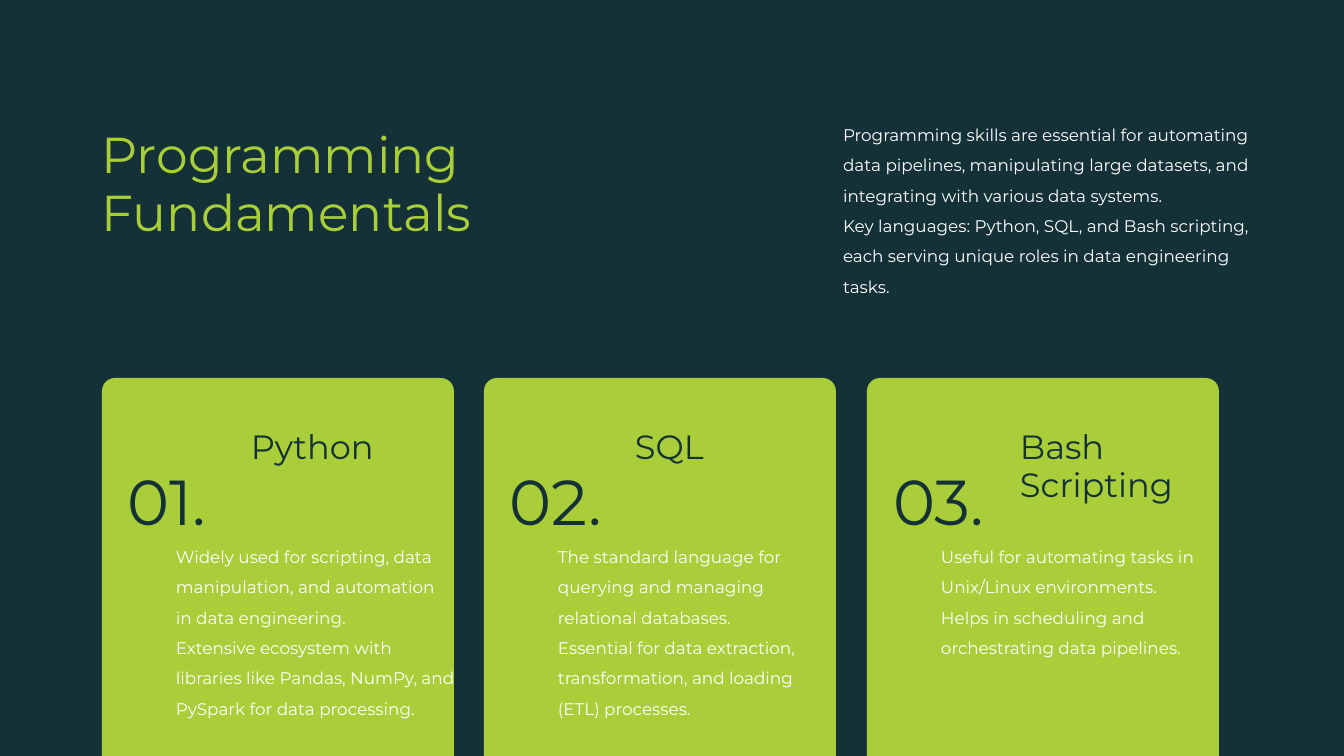
import pptx
import pptx.dml.color
import pptx.enum.shapes
import pptx.enum.text
import pptx.util

SLIDE_WIDTH, SLIDE_HEIGHT = 1344, 756
EMU_PER_PX = pptx.util.Inches(10) / SLIDE_WIDTH


def px(length):
    return pptx.util.Emu(round(length * EMU_PER_PX))


def color(hex_code):
    return pptx.dml.color.RGBColor.from_string(hex_code)


class SlideBuilder:
    """Holds the deck style and draws on the current slide."""

    FONT = "Montserrat"
    DARK = "133137"
    LIME = "AACD3A"
    WHITE = "FFFFFF"

    def __init__(self, slide):
        self.slide = slide

    def background(self):
        fill = self.slide.background.fill
        fill.solid()
        fill.fore_color.rgb = color(self.DARK)

    def card(self, left, top, width, height, radius):
        card = self.slide.shapes.add_shape(
            pptx.enum.shapes.MSO_SHAPE.ROUNDED_RECTANGLE,
            px(left), px(top), px(width), px(height))
        card.adjustments[0] = radius / min(width, height)
        card.shadow.inherit = False
        card.fill.solid()
        card.fill.fore_color.rgb = color(self.LIME)
        card.line.fill.background()

    def text(self, box, paragraphs, size, hex_code, spacing, align=None):
        """Place paragraphs in box, given as left, top, width and height."""
        frame = self.slide.shapes.add_textbox(*map(px, box)).text_frame
        frame.word_wrap = True
        frame.margin_left = frame.margin_right = 0
        frame.margin_top = frame.margin_bottom = 0
        frame.text = "\n".join(paragraphs)
        for paragraph in frame.paragraphs:
            paragraph.line_spacing = spacing
            paragraph.alignment = align
            for run in paragraph.runs:
                run.font.name = self.FONT
                run.font.size = pptx.util.Pt(size)
                run.font.color.rgb = color(hex_code)

    def heading(self, box, title, size, hex_code):
        self.text(box, [title], size, hex_code, 0.95)

    def body(self, box, paragraphs):
        self.text(box, paragraphs, 9, self.WHITE, 1.51)

    def number(self, box, label):
        self.text(box, [label], 34, self.DARK, 1.17,
                  pptx.enum.text.PP_ALIGN.JUSTIFY)


INTRO = [
    "Programming skills are essential for automating data pipelines, "
    "manipulating large datasets, and integrating with various data systems.",
    "Key languages: Python, SQL, and Bash scripting, each serving unique "
    "roles in data engineering tasks.",
]

LANGUAGES = [
    ("Python", [
        "Widely used for scripting, data manipulation, and automation in "
        "data engineering.",
        "Extensive ecosystem with libraries like Pandas, NumPy, and PySpark "
        "for data processing.",
    ]),
    ("SQL", [
        "The standard language for querying and managing relational "
        "databases.",
        "Essential for data extraction, transformation, and loading (ETL) "
        "processes.",
    ]),
    ("Bash Scripting", [
        "Useful for automating tasks in Unix/Linux environments.",
        "Helps in scheduling and orchestrating data pipelines.",
    ]),
]


def main():
    deck = pptx.Presentation()
    deck.slide_width, deck.slide_height = px(SLIDE_WIDTH), px(SLIDE_HEIGHT)
    builder = SlideBuilder(deck.slides.add_slide(deck.slide_layouts[6]))

    builder.background()
    builder.heading((102, 128, 372, 116), "Programming Fundamentals",
                    27, builder.LIME)
    builder.body((843, 114, 426, 175), INTRO)

    first_left, last_left = 102, 867
    for index, (language, details) in enumerate(LANGUAGES):
        left = first_left + (last_left - first_left) * index // 2
        builder.card(left, 378, 352, 513, radius=13)
        builder.heading((left + 149 + 2 * index, 429, 200, 78), language,
                        18, builder.DARK)
        builder.body((left + 74, 536, 278, 175), details)
        builder.number((left + 26, 449, 257, 77), f"{index + 1:02d}.")

    deck.save("out.pptx")


if __name__ == "__main__":
    main()
